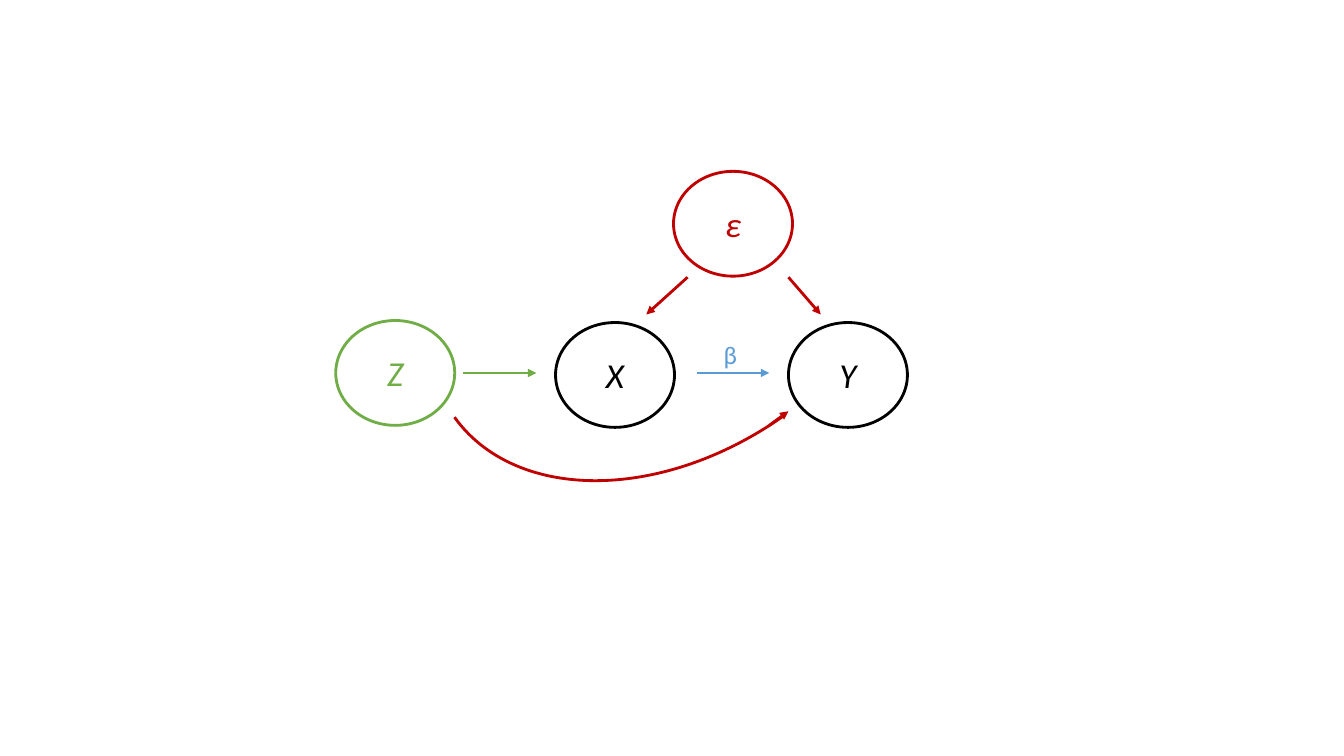
from lxml import etree
from pptx import Presentation
from pptx.dml.color import RGBColor
from pptx.enum import shapes, text
from pptx.oxml.ns import qn
from pptx.util import Inches, Pt

COLORS = {"black": "000000", "blue": "5B9BD5", "red": "C00000", "green": "70AD47"}


def style_line(line, color):
    line.color.rgb = RGBColor.from_string(COLORS[color])
    line.width = Pt(2)


def write(frame, label, size, color, italic):
    frame.text = label
    font = frame.paragraphs[0].runs[0].font
    font.name = "Calibri"
    font.size = Pt(size)
    font.italic = italic
    font.color.rgb = RGBColor.from_string(COLORS[color])


prs = Presentation()
prs.slide_width, prs.slide_height = Inches(13.33), Inches(7.5)
slide = prs.slides.add_slide(prs.slide_layouts[6])

variables = [
    ("X", 5.51, 3.2, "black"),
    ("Y", 7.82, 3.2, "black"),
    ("ε", 6.68, 1.7, "red"),
    ("Z", 3.33, 3.18, "green"),
]
for label, left, top, color in variables:
    variable = slide.shapes.add_shape(
        shapes.MSO_SHAPE.OVAL, Inches(left), Inches(top), Inches(1.18), Inches(1.04))
    variable.shadow.inherit = False
    variable.fill.background()
    style_line(variable.line, color)
    write(variable.text_frame, label, 25, color, True)
    variable.text_frame.vertical_anchor = text.MSO_ANCHOR.MIDDLE
    variable.text_frame.paragraphs[0].alignment = text.PP_ALIGN.CENTER

beta = slide.shapes.add_textbox(Inches(7.08), Inches(3.32), Inches(0.34), Inches(0.4))
write(beta.text_frame, "β", 18, "blue", False)
beta.text_frame.word_wrap = False
beta.text_frame.auto_size = text.MSO_AUTO_SIZE.SHAPE_TO_FIT_TEXT

bias_curve = slide.shapes.add_shape(
    shapes.MSO_SHAPE.ARC, Inches(4.01), Inches(0.7), Inches(5.35), Inches(3.77))
bias_curve.rotation = 144.5
bias_curve.shadow.inherit = False
bias_curve.fill.background()
style_line(bias_curve.line, "red")

effects = [
    (6.91, 3.7, 7.63, 3.7, "blue"),
    (7.82, 2.75, 8.14, 3.12, "red"),
    (6.82, 2.75, 6.41, 3.12, "red"),
    (4.59, 3.7, 5.32, 3.7, "green"),
    (7.63, 4.22, 7.82, 4.08, "red"),
]
for x1, y1, x2, y2, color in effects:
    effect = slide.shapes.add_connector(
        shapes.MSO_CONNECTOR.STRAIGHT, Inches(x1), Inches(y1), Inches(x2), Inches(y2))
    style_line(effect.line, color)
    properties = effect._element.spPr
    etree.SubElement(properties.find(qn("a:ln")), qn("a:tailEnd"), type="triangle")
    etree.SubElement(properties, qn("a:effectLst"))

prs.save("out.pptx")
